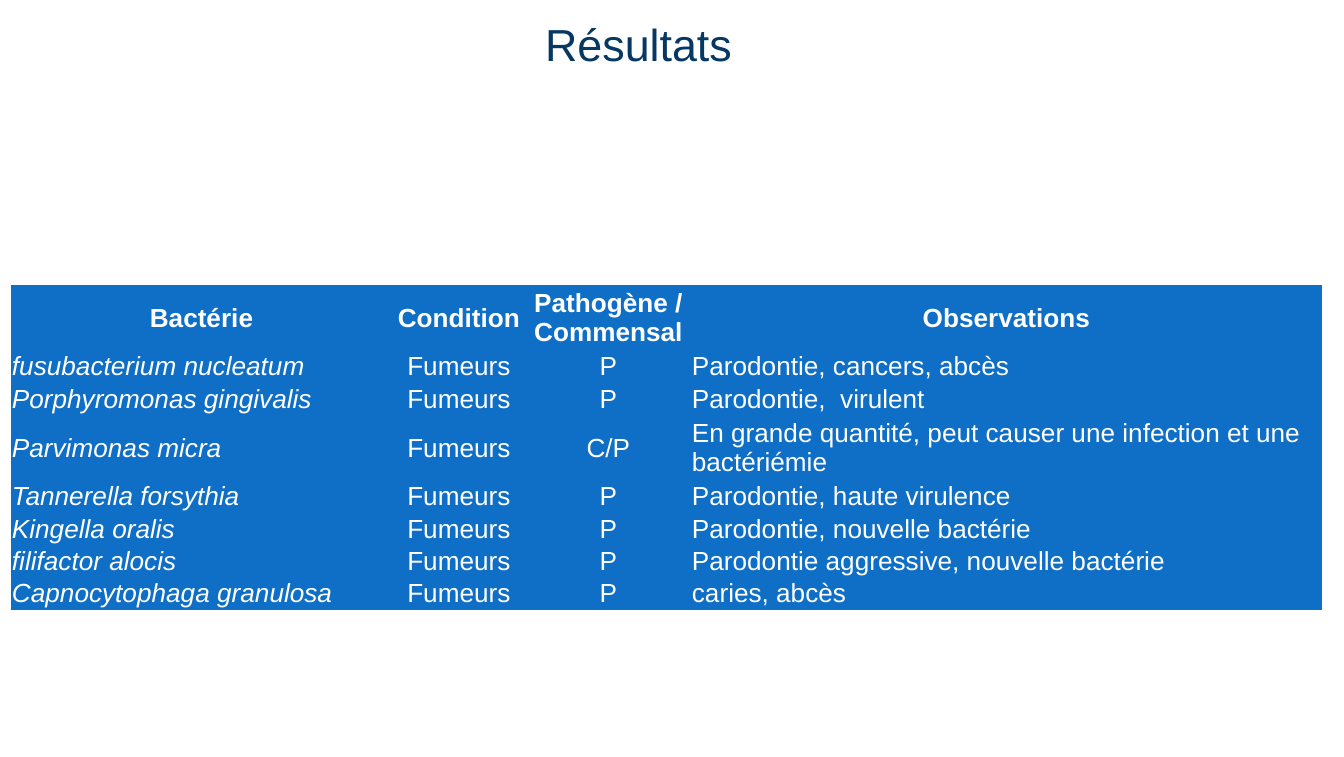
import dataclasses

import pptx
import pptx.dml.color
import pptx.enum.text
import pptx.oxml.ns
import pptx.slide
import pptx.table
import pptx.text.text
import pptx.util

EMU_PER_PX = 914400 / 134.4
FONT = "Arial"
COLORS = {"title": "073763", "table": "0F6FC6", "table_text": "FFFFFF"}
PLAIN_STYLE = "{2D5ABB26-0587-4C30-8999-92F81FD0307C}"  # no style, no grid
LINE_ROW, DOUBLE_ROW = 32, 65
LEFT = pptx.enum.text.PP_ALIGN.LEFT
CENTER = pptx.enum.text.PP_ALIGN.CENTER


@dataclasses.dataclass(frozen=True)
class Column:
    heading: str
    width: int
    align: pptx.enum.text.PP_ALIGN
    italic: bool = False


@dataclasses.dataclass(frozen=True)
class Bacterium:
    name: str
    role: str
    remark: str
    height: int = LINE_ROW
    condition: str = "Fumeurs"


COLUMNS = [
    Column("Bactérie", 381, LEFT, italic=True),
    Column("Condition", 134, CENTER),
    Column("Pathogène / Commensal", 165, CENTER),
    Column("Observations", 631, LEFT),
]
BACTERIA = [
    Bacterium("fusubacterium nucleatum", "P", "Parodontie, cancers, abcès"),
    Bacterium("Porphyromonas gingivalis", "P", "Parodontie,  virulent"),
    Bacterium("Parvimonas micra", "C/P",
              "En grande quantité, peut causer une infection et une bactériémie", DOUBLE_ROW),
    Bacterium("Tannerella forsythia", "P", "Parodontie, haute virulence"),
    Bacterium("Kingella oralis", "P", "Parodontie, nouvelle bactérie"),
    Bacterium("filifactor alocis", "P", "Parodontie aggressive, nouvelle bactérie"),
    Bacterium("Capnocytophaga granulosa", "P", "caries, abcès"),
]


def px(length: int) -> pptx.util.Emu:
    return pptx.util.Emu(round(length * EMU_PER_PX))


def write(frame: pptx.text.text.TextFrame, text: str, size: int, color: str,
          align: pptx.enum.text.PP_ALIGN, bold: bool = False, italic: bool = False) -> None:
    paragraph = frame.paragraphs[0]
    paragraph.alignment = align
    run = paragraph.add_run()
    run.text = text
    run.font.name = FONT
    run.font.size = pptx.util.Pt(size)
    run.font.bold = bold
    run.font.italic = italic
    run.font.color.rgb = pptx.dml.color.RGBColor.from_string(COLORS[color])


def fill_cell(cell: pptx.table._Cell, text: str, column: Column, heading: bool) -> None:
    cell.fill.solid()
    cell.fill.fore_color.rgb = pptx.dml.color.RGBColor.from_string(COLORS["table"])
    cell.margin_left = cell.margin_right = cell.margin_top = px(1)
    cell.margin_bottom = 0
    cell.vertical_anchor = pptx.enum.text.MSO_ANCHOR.MIDDLE
    write(cell.text_frame, text, 14, "table_text", CENTER if heading else column.align,
          bold=heading, italic=column.italic and not heading)


def add_title(slide: pptx.slide.Slide, text: str) -> None:
    shape = slide.shapes.add_textbox(px(45), px(10), px(1187), px(67))
    shape.text_frame.word_wrap = True
    write(shape.text_frame, text, 24, "title", CENTER)


def add_results(slide: pptx.slide.Slide) -> None:
    heights = [DOUBLE_ROW] + [bacterium.height for bacterium in BACTERIA]
    rows = [[column.heading for column in COLUMNS]]
    rows += [[b.name, b.condition, b.role, b.remark] for b in BACTERIA]
    width = sum(column.width for column in COLUMNS)
    frame = slide.shapes.add_table(len(rows), len(COLUMNS), px(11), px(285),
                                   px(width), px(sum(heights)))
    table = frame.table
    table.first_row = table.horz_banding = False
    table._tbl.tblPr.find(pptx.oxml.ns.qn("a:tableStyleId")).text = PLAIN_STYLE
    for index, column in enumerate(COLUMNS):
        table.columns[index].width = px(column.width)
    for row, (texts, height) in enumerate(zip(rows, heights)):
        table.rows[row].height = px(height)
        for index, (text, column) in enumerate(zip(texts, COLUMNS)):
            fill_cell(table.cell(row, index), text, column, heading=row == 0)


def main() -> None:
    presentation = pptx.Presentation()
    presentation.slide_width = pptx.util.Inches(10)
    presentation.slide_height = pptx.util.Inches(5.63)
    slide = presentation.slides.add_slide(presentation.slide_layouts[6])

    # Title
    add_title(slide, "Résultats")

    # Table of bacteria
    add_results(slide)

    presentation.save("out.pptx")


if __name__ == "__main__":
    main()
